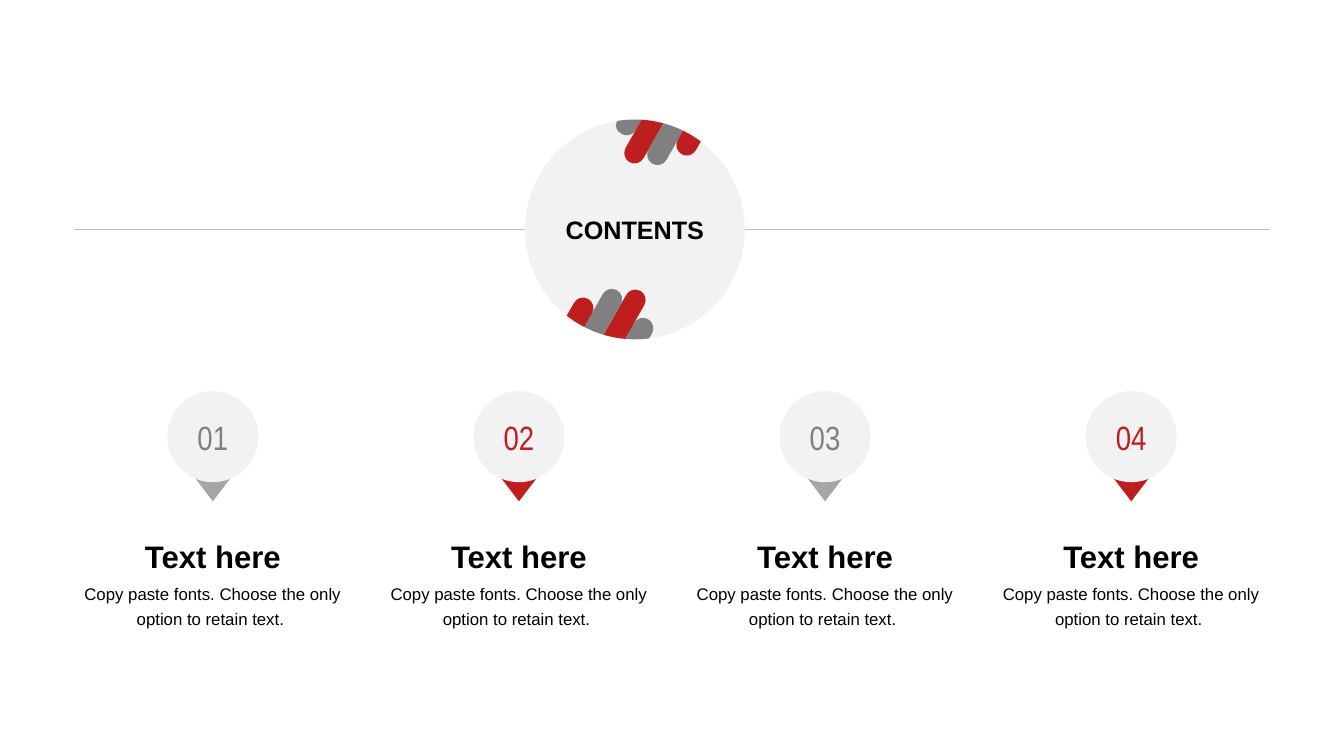
import math

from lxml import etree
from pptx import Presentation
from pptx import util as u
from pptx.dml import color
from pptx.enum import shapes, text
from pptx.oxml import ns

RED, GREY, PALE, BLACK = "BE1F1E", "808080", "F2F2F2", "000000"
TIP_GREY, RULE_GREY = "A6A6A6", "BFBFBF"
STRIPE_COLOURS = [GREY, RED, GREY, RED]
STRIPE_TURN = 29.6
SECTIONS = [
    ("01", GREY, TIP_GREY),
    ("02", RED, RED),
    ("03", GREY, TIP_GREY),
    ("04", RED, RED),
]
HEADING = "Text here"
DETAIL = "Copy paste fonts. Choose the only option to retain text. "


def paint(target, value):
    if hasattr(target, "solid"):
        target.solid()
        target = target.fore_color
    target.rgb = color.RGBColor.from_string(value)


def finish(shape, fill):
    shape.shadow.inherit = False
    paint(shape.fill, fill)
    shape.line.fill.background()
    return shape


def add_preset(page, kind, left, top, width, height, fill):
    shape = page.shapes.add_shape(kind, u.Pt(left), u.Pt(top), u.Pt(width), u.Pt(height))
    return finish(shape, fill)


def write(shape, words, size, font="Arial", colour=BLACK, bold=False, wrap=True,
          anchor=text.MSO_ANCHOR.MIDDLE, spacing=1.0):
    frame = shape.text_frame
    frame.word_wrap = wrap
    frame.auto_size = text.MSO_AUTO_SIZE.NONE
    frame.vertical_anchor = anchor
    frame.margin_left = frame.margin_right = 0
    frame.margin_top = frame.margin_bottom = u.Pt(3.6)
    para = frame.paragraphs[0]
    para.alignment = text.PP_ALIGN.CENTER
    para.line_spacing = spacing
    span = para.add_run()
    span.text = words
    span.font.name = font
    span.font.size = u.Pt(size)
    span.font.bold = bold
    paint(span.font.color, colour)


def add_text(page, words, left, top, width, height, **style):
    box = page.shapes.add_textbox(u.Pt(left), u.Pt(top), u.Pt(width), u.Pt(height))
    write(box, words, **style)


def add_rule(page, left, right, y):
    rule = page.shapes.add_connector(
        shapes.MSO_CONNECTOR.STRAIGHT, u.Pt(left), u.Pt(y), u.Pt(right), u.Pt(y))
    paint(rule.line.fill, RULE_GREY)
    rule.line.width = u.Pt(0.25)
    etree.SubElement(rule.element.spPr, ns.qn("a:effectLst"))


def curve_lines(shape, starts):
    lines = list(shape.element.iter(ns.qn("a:lnTo")))
    for start in starts:
        curve = etree.Element(ns.qn("a:cubicBezTo"))
        lines[start].addprevious(curve)
        for line in lines[start:start + 3]:
            curve.append(line[0])
            line.getparent().remove(line)


def add_stripe(page, centre_x, centre_y, radius, side, across, depth, half, colour):
    near, far = across - half, across + half
    near_edge, far_edge = (math.sqrt(radius ** 2 - offset ** 2) for offset in (near, far))
    near_cap, far_cap = min(depth, near_edge), min(depth, far_edge)
    cap, pull, third = depth - half, 0.55 * half, 2 * half / 3
    outline = [
        (far, far_cap),
        (far, far_cap - pull), (across + pull, cap), (across, cap),
        (across - pull, cap), (near, near_cap - pull), (near, near_cap),
        (near, near_edge),
        (near + third, near_edge - third * near / near_edge),
        (far - third, far_edge + third * far / far_edge),
        (far, far_edge),
    ]
    points = [(centre_x + side * offset, centre_y - side * along) for offset, along in outline]
    builder = page.shapes.build_freeform(*points[0], scale=float(u.Pt(1)))
    builder = page.shapes.build_freeform(
        *(100 * value for value in points[0]), scale=u.Pt(1) / 100)
    builder.add_line_segments([(100 * x, 100 * y) for x, y in points[1:]], close=True)
    stripe = finish(builder.convert_to_shape(), colour)
    curve_lines(stripe, [0, 3, 7])

    turn = math.radians(STRIPE_TURN)
    x = stripe.left + stripe.width / 2 - u.Pt(centre_x)
    y = stripe.top + stripe.height / 2 - u.Pt(centre_y)
    stripe.left += round(x * math.cos(turn) - y * math.sin(turn) - x)
    stripe.top += round(x * math.sin(turn) + y * math.cos(turn) - y)
    stripe.rotation = STRIPE_TURN


def add_badge(page, left, top, size):
    radius = size / 2
    add_preset(page, shapes.MSO_SHAPE.OVAL, left, top, size, size, PALE)
    half = 7.4
    for side, first, depths in [(1, -41.9, [62, 47.3, 54.4, 70.6]),
                                (-1, -39.9, [58.5, 43.6, 51.5, 67])]:
        for index, (depth, colour) in enumerate(zip(depths, STRIPE_COLOURS)):
            add_stripe(page, left + radius, top + radius, radius, side,
                       first + 2 * half * index, depth, half, colour)
    title = page.shapes.title
    title.left, title.top = u.Pt(left), u.Pt(top + radius - 20)
    title.width, title.height = u.Pt(size), u.Pt(40)
    write(title, "CONTENTS", size=18, bold=True, wrap=False)
    title.element.getparent().append(title.element)


def add_section(page, left, top, width, number, colour, tip_colour):
    middle = left + width / 2
    disc, tip_width = 65, 41.8
    tip = add_preset(page, shapes.MSO_SHAPE.ISOSCELES_TRIANGLE,
                     middle - tip_width / 2, top + 51.3, tip_width, 27.4, tip_colour)
    tip.rotation = 180
    circle = add_preset(page, shapes.MSO_SHAPE.OVAL, middle - disc / 2, top, disc, disc, PALE)
    write(circle, number, size=24, font="Arial Narrow", colour=colour)
    add_text(page, HEADING, left, top + 100.8, width, 29, size=22.2, bold=True,
             anchor=text.MSO_ANCHOR.TOP)
    add_text(page, DETAIL, left, top + 130.3, width, 44, size=12, spacing=1.2)


def build_contents(page, left, width):
    add_rule(page, left, left + width, 163.9)
    add_badge(page, 375, 85.4, 157)
    column = 198
    pitch = (width - column) / (len(SECTIONS) - 1)
    for index, section in enumerate(SECTIONS):
        add_section(page, left + index * pitch, 279.4, column, *section)


deck = Presentation()
deck.slide_width, deck.slide_height = u.Pt(960), u.Pt(540)
contents = deck.slides.add_slide(deck.slide_layouts[5])
build_contents(contents, 53, 854)
deck.save("out.pptx")
